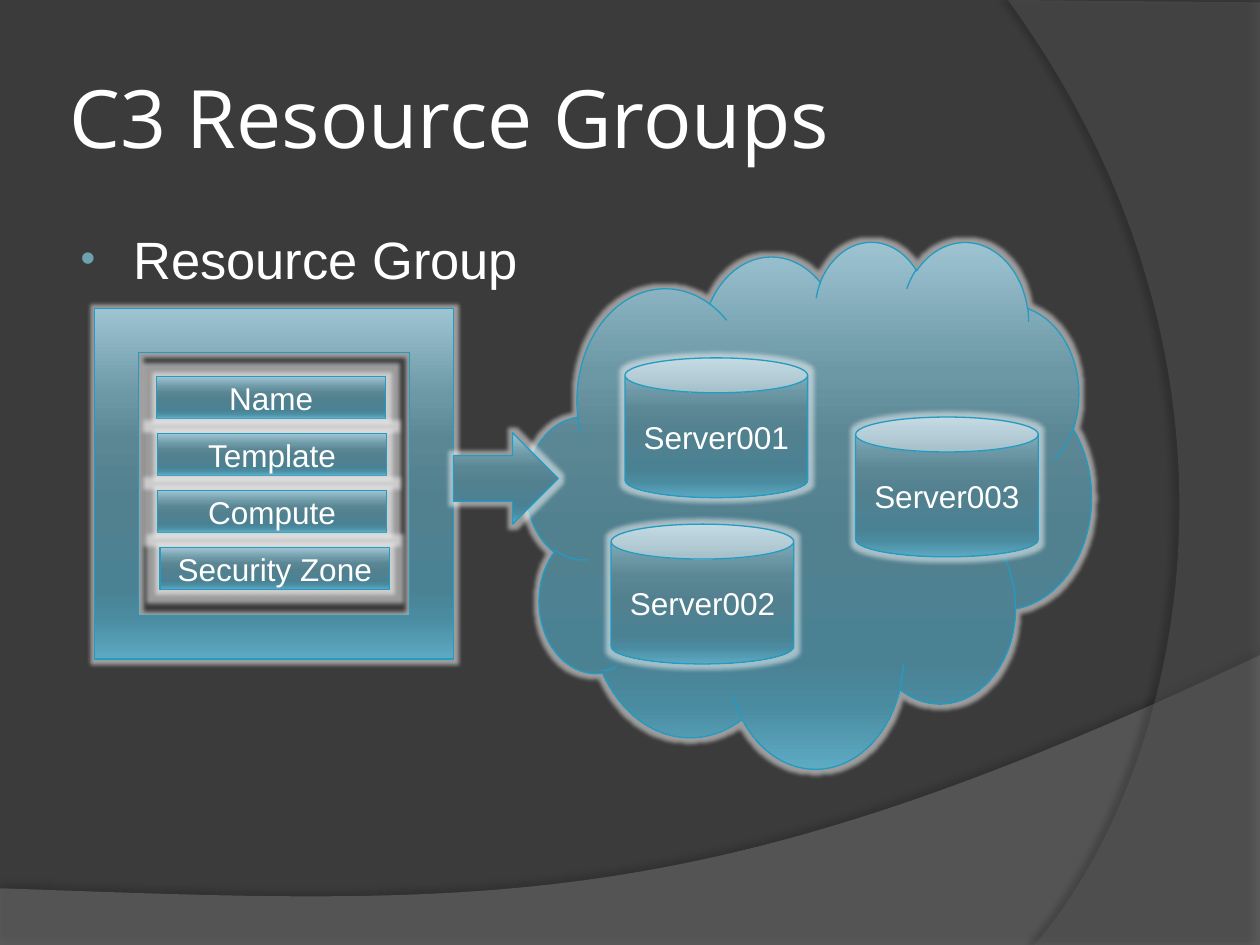
import pptx
import pptx.util
import pptx.dml.color
import pptx.enum.shapes
import pptx.enum.text
import pptx.oxml
import pptx.oxml.ns

Pt = pptx.util.Pt
SHAPE = pptx.enum.shapes.MSO_SHAPE
ALIGN = pptx.enum.text.PP_ALIGN
MIDDLE = pptx.enum.text.MSO_ANCHOR.MIDDLE
NAMESPACE = pptx.oxml.ns.nsdecls("a")

TITLE = "C3 Resource Groups"
BULLET = "Resource Group"
FIELDS = [("Name", 89.5), ("Template", 90), ("Compute", 90), ("Security Zone", 91.5)]
FIELD_TOP, FIELD_STEP, FIELD_SIZE = 215.3, 32.6, (131, 23.8)
SERVERS = [("Server001", 357.1, 204.5), ("Server002", 349.2, 299.5), ("Server003", 488.9, 238.3)]
SERVER_SIZE = (104.4, 79.9)
GRADIENT = [(0, "9EC4D2"), (25, "6C97A5"), (38, "5B8694"), (55, "51808F"),
            (80, "4A8294"), (88, "4A8BA0"), (100, "5DAAC2")]
SWOOSHES = [
    {"corners": [(0, 507.6), (0, 540), (720, 540), (720, 374.4)],
     "curve": [(402.5, 524.9), (281.5, 517.7), (0, 507.6)],
     "color": "7F7F7F", "opacity": 45, "shadow": (35, 4, 3.5, 270)},
    {"corners": [(720, 1.4), (720, 540), (591.1, 540)],
     "curve": [(673.2, 445.7), (733, 216), (576, 0)],
     "color": "5E5E5E", "opacity": 40, "shadow": (45, 4, 4, 180)},
]


def rgb(color):
    return pptx.dml.color.RGBColor.from_string(color)


def add_xml(parent, text):
    parent.append(pptx.oxml.parse_xml(text.replace(" ", f" {NAMESPACE} ", 1)))


def add_effect(shape, text):
    shape.shadow.inherit = False
    add_xml(shape._element.spPr.find(pptx.oxml.ns.qn("a:effectLst")), text)


def style_text(paragraph, size, font="Arial"):
    for run in paragraph.runs:
        run.font.size = Pt(size)
        run.font.name = font
        run.font.color.rgb = rgb("FFFFFF")


def bezier(points, steps=60):
    for step in range(1, steps + 1):
        t = step / steps
        weights = ((1 - t) ** 3, 3 * t * (1 - t) ** 2, 3 * t * t * (1 - t), t ** 3)
        yield tuple(sum(w * p[axis] for w, p in zip(weights, points)) for axis in (0, 1))


def add_swoosh(corners, curve, color, opacity, shadow):
    points = corners + list(bezier([corners[-1]] + curve))
    points = [(Pt(x), Pt(y)) for x, y in points]
    builder = slide.shapes.build_freeform(*points[0], scale=1.0)
    builder.add_line_segments(points[1:], close=True)
    shape = builder.convert_to_shape()
    shape.fill.solid()
    shape.fill.fore_color.rgb = rgb(color)
    solid = shape._element.spPr.find(pptx.oxml.ns.qn("a:solidFill"))
    add_xml(solid[0], f'<a:alpha val="{opacity * 1000}"/>')
    shape.line.fill.background()
    alpha, blur, distance, angle = shadow
    add_effect(shape, f'<a:outerShdw blurRad="{Pt(blur)}" dist="{Pt(distance)}" '
                      f'dir="{angle * 60000}" algn="ctr" rotWithShape="0">'
                      f'<a:srgbClr val="000000"><a:alpha val="{alpha * 1000}"/></a:srgbClr></a:outerShdw>')


def add_glossy(kind, left, top, width, height, text=""):
    shape = slide.shapes.add_shape(kind, Pt(left), Pt(top), Pt(width), Pt(height))
    shape.fill.gradient()
    gradient = shape._element.spPr.find(pptx.oxml.ns.qn("a:gradFill"))
    for child in list(gradient):
        gradient.remove(child)
    stops = "".join(f'<a:gs pos="{position * 1000}"><a:srgbClr val="{color}"/></a:gs>'
                    for position, color in GRADIENT)
    add_xml(gradient, f'<a:gsLst >{stops}</a:gsLst>')
    add_xml(gradient, '<a:lin ang="5400000" scaled="0"/>')
    shape.line.color.rgb = rgb("239BC2")
    shape.line.width = Pt(0.75)
    add_effect(shape, f'<a:glow rad="{Pt(5)}"><a:srgbClr val="FFFFFF">'
                      '<a:alpha val="50000"/></a:srgbClr></a:glow>')
    if text:
        frame = shape.text_frame
        frame.text = text
        frame.vertical_anchor = MIDDLE
        frame.paragraphs[0].alignment = ALIGN.CENTER
        style_text(frame.paragraphs[0], 18)


presentation = pptx.Presentation()
presentation.slide_width, presentation.slide_height = Pt(720), Pt(540)
slide = presentation.slides.add_slide(presentation.slide_layouts[5])
slide.background.fill.solid()
slide.background.fill.fore_color.rgb = rgb("3B3B3B")

for swoosh in SWOOSHES:
    add_swoosh(**swoosh)

title = slide.shapes.title
slide.shapes._spTree.append(title._element)
title.left, title.top, title.width, title.height = Pt(36), Pt(21.6), Pt(588), Pt(90)
frame = title.text_frame
frame.text = TITLE
frame.vertical_anchor = MIDDLE
frame.margin_left = frame.margin_right = frame.margin_top = frame.margin_bottom = Pt(3.6)
frame.paragraphs[0].alignment = ALIGN.LEFT
style_text(frame.paragraphs[0], 46, "Open Sans")

body = slide.shapes.add_textbox(Pt(36), Pt(126), Pt(588), Pt(356.4))
body.text_frame.word_wrap = True
body.text_frame.text = BULLET
paragraph = body.text_frame.paragraphs[0]
paragraph.space_before = Pt(6)
style_text(paragraph, 30)
properties = paragraph._p.get_or_add_pPr()
properties.set("marL", str(Pt(33)))
properties.set("indent", str(-Pt(30)))
add_xml(properties, '<a:buClr ><a:srgbClr val="6EA0B0"/></a:buClr>')
add_xml(properties, '<a:buSzPct val="80000"/>')
add_xml(properties, '<a:buFont typeface="Arial"/>')
add_xml(properties, '<a:buChar char="•"/>')

add_glossy(SHAPE.FRAME, 54, 176.4, 205.2, 200.2)
for row, (field, left) in enumerate(FIELDS):
    add_glossy(SHAPE.RECTANGLE, left, FIELD_TOP + row * FIELD_STEP, *FIELD_SIZE, field)
add_glossy(SHAPE.CLOUD, 301, 137.5, 322.6, 301)
for server, left, top in SERVERS:
    add_glossy(SHAPE.CAN, left, top, *SERVER_SIZE, server)
add_glossy(SHAPE.RIGHT_ARROW, 259.2, 247.3, 59.8, 52.2)

presentation.save("out.pptx")
